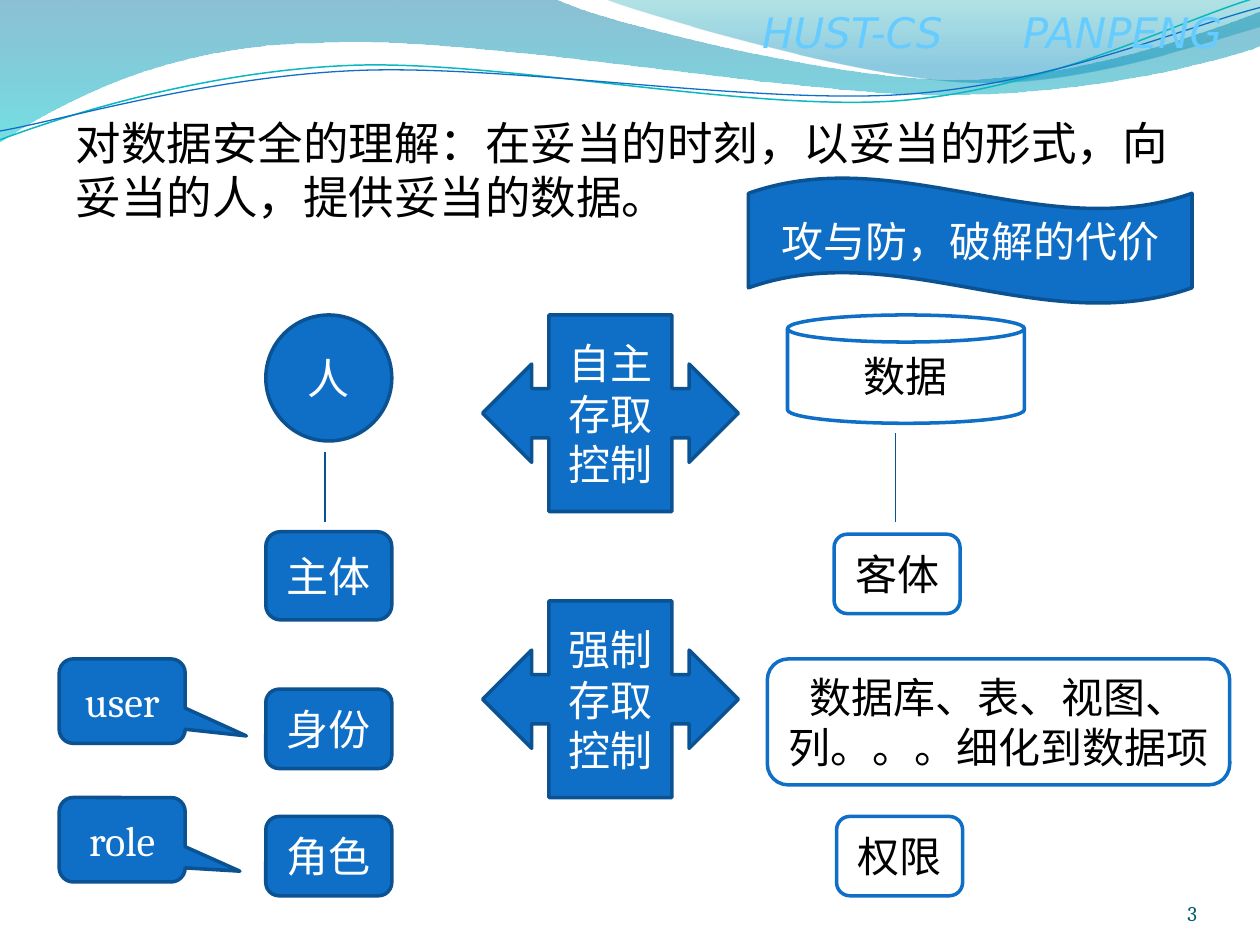
"""Build a slide on who may reach which data, and how access is controlled."""
from lxml.etree import Element, SubElement as Sub
from pptx import Presentation
from pptx.dml.color import RGBColor as Rgb
from pptx.enum.shapes import MSO_CONNECTOR as Link, MSO_SHAPE as Form
from pptx.enum.text import MSO_ANCHOR as Anchor, MSO_AUTO_SIZE as Auto, PP_ALIGN as Align
from pptx.oxml.ns import qn
from pptx.util import Inches, Pt

THEME = {
    "blue": "0F6FC6", "navy": "0B5292", "rule": "095295", "teal": "0AB8BF",
    "white": "FFFFFF", "black": "000000", "sky": "66CCFF", "page": "045D75",
    "font": "Cambria", "head": "Times New Roman", "mark": "DejaVu Sans",
    "body": 24, "lead": 26, "small": 12, "edge": 2, "thin": 0.75,
}
LOOKS = {"solid": ("blue", "navy", "white"), "plain": ("white", "blue", "black")}
GRID = 1000

LEAD = "对数据安全的理解：在妥当的时刻，以妥当的形式，向妥当的人，提供妥当的数据。"
MARK, STOP = "HUST-CS\tPANPENG", 2.07

BANDS = [
    ([(0, -0.01), (4.4, -0.01),
      (4.76, 0.17, 6.64, 0.63, 7.58, 0.63), (8.53, 0.63, 9.58, 0.26, 10, 0.09),
      (10.01, 0.36),
      (9.83, 0.44, 8.7, 0.76, 7.46, 0.75), (6.22, 0.75, 3.82, 0.28, 2.57, 0.34),
      (1.29, 0.35, 0.46, 0.83, -0.01, 1.13)],
     [(0, "0074A1", 45), (1, "00C6CF", 55)]),
    ([(4.79, -0.01),
      (5.09, 0.11, 6.82, 0.62, 7.69, 0.65), (8.56, 0.69, 9.61, 0.32, 10, 0.21),
      (10, 0)],
     [(0, "00A1A9", 30), (0.8, "008BBF", 45)]),
]
WAVES = [
    ([(0, 1.11), (0.48, 0.93, 1.58, 0.57, 2.77, 0.52),
      (3.95, 0.47, 5.93, 0.89, 7.13, 0.8), (8.33, 0.71, 9.38, 0.15, 9.98, -0.02)],
     "teal", 0.85),
    ([(0, 1.04), (0.47, 0.96, 1.64, 0.61, 2.83, 0.56),
      (4.03, 0.51, 5.97, 0.83, 7.17, 0.75), (8.36, 0.67, 9.41, 0.21, 10, 0.06)],
     "blue", 0.75),
]

LEFT, MID, FAR = 2.11, 3.83, 0.47
NODES = [
    ("人", Form.OVAL, "solid", (LEFT, 2.5, 1, 1)),
    ("数据", Form.CAN, "plain", (6.25, 2.5, 1.88, 0.86)),
    ("主体", Form.ROUNDED_RECTANGLE, "solid", (LEFT, 4.22, 1, 0.7)),
    ("身份", Form.ROUNDED_RECTANGLE, "solid", (LEFT, 5.47, 1, 0.63)),
    ("角色", Form.ROUNDED_RECTANGLE, "solid", (LEFT, 6.48, 1, 0.63)),
    ("客体", Form.ROUNDED_RECTANGLE, "plain", (6.62, 4.24, 1, 0.63)),
    ("数据库、表、视图、列。。。细化到数据项", Form.ROUNDED_RECTANGLE, "plain",
     (6.09, 5.23, 3.67, 1)),
    ("权限", Form.ROUNDED_RECTANGLE, "plain", (6.64, 6.48, 1, 0.63)),
    ("自主存取控制", Form.LEFT_RIGHT_ARROW_CALLOUT, "solid", (MID, 2.5, 2.03, 1.56)),
    ("强制存取控制", Form.LEFT_RIGHT_ARROW_CALLOUT, "solid", (MID, 4.77, 2.03, 1.56)),
    ("user", Form.ROUNDED_RECTANGULAR_CALLOUT, "solid", (FAR, 5.23, 1, 0.67)),
    ("role", Form.ROUNDED_RECTANGULAR_CALLOUT, "solid", (FAR, 6.33, 1, 0.67)),
    ("攻与防，破解的代价", Form.WAVE, "solid", (5.94, 1.41, 3.52, 1)),
]
TAILS = {"user": (0.986, 0.412), "role": (0.935, 0.373)}
LINKS = [(2.58, 3.59, 4.14), (7.11, 3.44, 4.14)]


def tint(name):
    return Rgb.from_string(THEME.get(name, name))


def write(shape, text, size="body", font="font", color="black", align=Align.LEFT,
          anchor=Anchor.TOP, slant=False, inset=None, tab=None):
    frame = shape.text_frame
    frame.word_wrap, frame.auto_size = True, Auto.NONE
    frame.vertical_anchor = anchor
    if inset is not None:
        frame.margin_left = frame.margin_right = Inches(inset)
        frame.margin_top = frame.margin_bottom = Inches(inset)
    para = frame.paragraphs[0]
    para.alignment = align
    if tab:
        tabs = Sub(para._p.get_or_add_pPr(), qn("a:tabLst"))
        Sub(tabs, qn("a:tab"), pos=str(Inches(tab)), algn="l")
    run = para.add_run()
    run.text = text
    run.font.name, run.font.size = THEME[font], Pt(THEME[size])
    run.font.color.rgb, run.font.italic = tint(color), slant


def place(shape, box):
    shape.left, shape.top, shape.width, shape.height = map(Inches, box)


def draw(shapes, steps, close):
    ends = [(round(s[-2] * GRID), round(s[-1] * GRID)) for s in steps]
    pen = shapes.build_freeform(*ends[0], scale=Inches(1) / GRID)
    pen.add_line_segments(ends[1:], close=close)
    shape = pen.convert_to_shape()
    shape.shadow.inherit = False
    left, top = map(min, zip(*ends))
    route = next(shape.element.iter(qn("a:path")))
    for node, step in zip(list(route)[1:], steps[1:]):
        if len(step) == 6:
            curve = Element(qn("a:cubicBezTo"))
            for x, y in zip(step[::2], step[1::2]):
                Sub(curve, qn("a:pt"), x=str(round(x * GRID) - left),
                    y=str(round(y * GRID) - top))
            route.replace(node, curve)
    return shape


def add_band(shapes, steps, stops):
    shape = draw(shapes, steps, True)
    shape.line.fill.background()
    shape.fill.gradient()
    shape.fill.gradient_angle = 270
    for stop, (spot, color, _) in zip(shape.fill.gradient_stops, stops):
        stop.position, stop.color.rgb = spot, tint(color)
    for node, (_, _, dense) in zip(shape.element.iter(qn("a:srgbClr")), stops):
        Sub(node, qn("a:alpha"), val=str(dense * 1000))


def add_wave(shapes, steps, color, width):
    shape = draw(shapes, steps, False)
    shape.fill.background()
    shape.line.color.rgb, shape.line.width = tint(color), Pt(width)


def add_node(shapes, text, form, look, box):
    fill, edge, ink = LOOKS[look]
    shape = shapes.add_shape(form, *map(Inches, box))
    shape.shadow.inherit = False
    shape.fill.solid()
    shape.fill.fore_color.rgb = tint(fill)
    shape.line.color.rgb, shape.line.width = tint(edge), Pt(THEME["edge"])
    for i, value in enumerate(TAILS.get(text, ())):
        shape.adjustments[i] = value
    write(shape, text, color=ink, align=Align.CENTER, anchor=Anchor.MIDDLE)


def add_link(shapes, x, top, base):
    link = shapes.add_connector(Link.STRAIGHT, *map(Inches, (x, top, x, base)))
    link.line.color.rgb, link.line.width = tint("rule"), Pt(THEME["thin"])
    Sub(link.element.spPr, qn("a:effectLst"))


def main():
    deck = Presentation()
    deck.slide_width, deck.slide_height = Inches(10), Inches(7.5)
    slide = deck.slides.add_slide(deck.slide_layouts[5])
    shapes = slide.shapes
    for band in BANDS:
        add_band(shapes, *band)
    for wave in WAVES:
        add_wave(shapes, *wave)
    mark = shapes.add_textbox(*map(Inches, (5.95, 0, 4.05, 0.5)))
    write(mark, MARK, font="mark", color="sky", slant=True, tab=STOP)
    place(shapes.title, (0.5, 0.86, 9, 1.02))
    write(shapes.title, LEAD, size="lead", font="head")
    page = shapes.add_textbox(*map(Inches, (8.67, 6.95, 0.83, 0.4)))
    write(page, "3", size="small", color="page", align=Align.RIGHT,
          anchor=Anchor.BOTTOM, inset=0)
    for link in LINKS:
        add_link(shapes, *link)
    for node in NODES:
        add_node(shapes, *node)
    deck.save("out.pptx")


if __name__ == "__main__":
    main()
